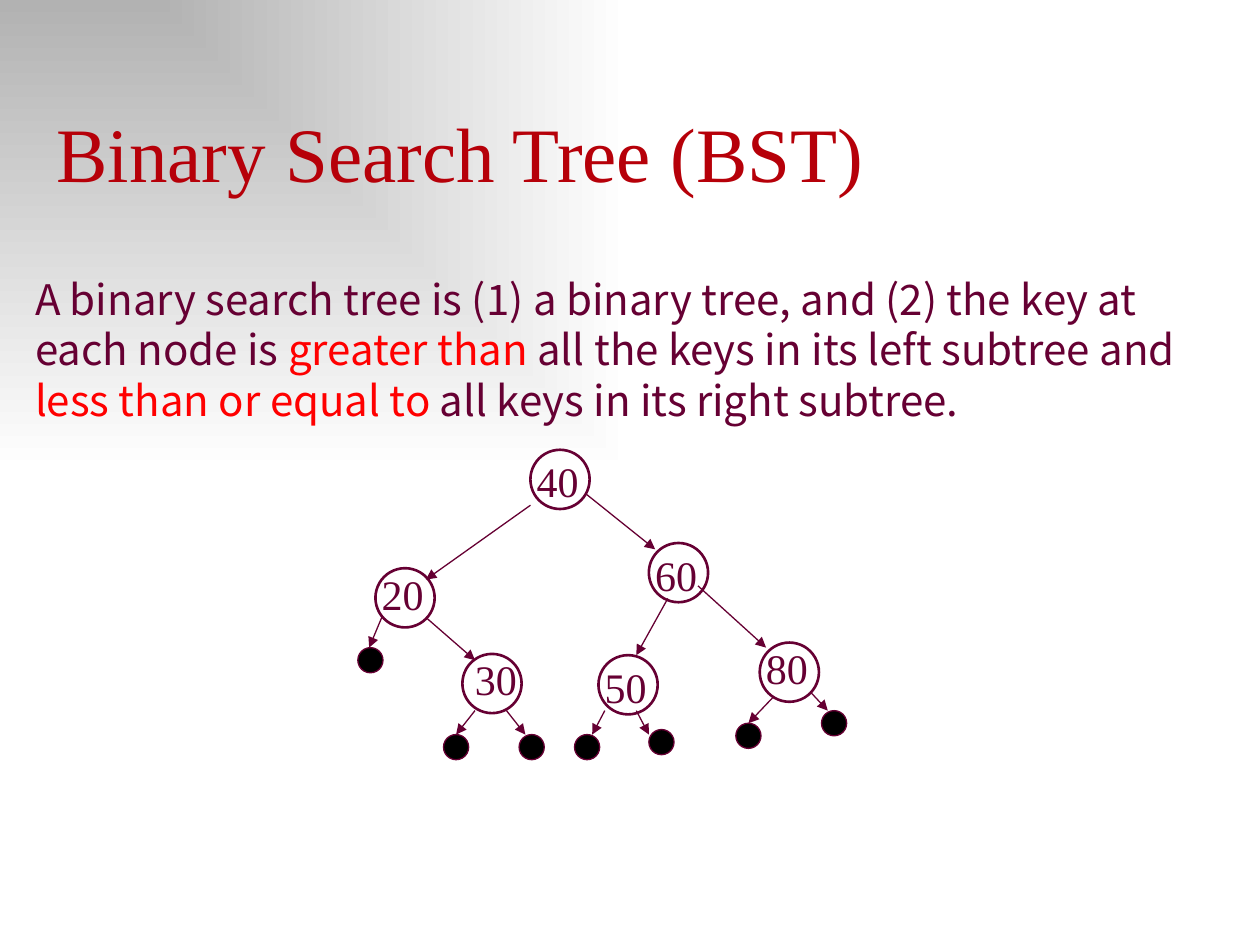
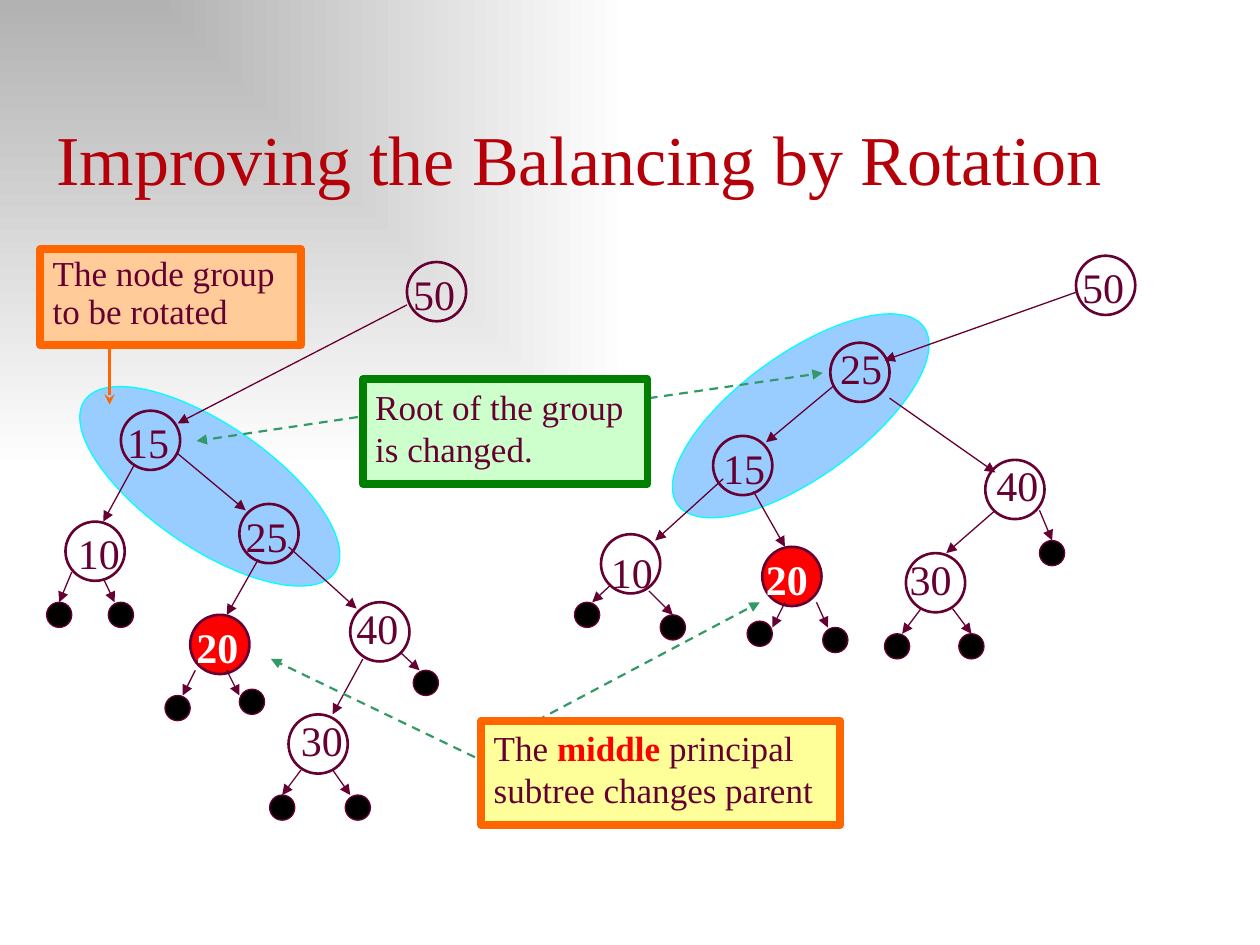
"""Build two slides about binary search trees and rotation."""
from dataclasses import dataclass, field
from typing import Any, Optional

from lxml import etree
from pptx import Presentation
from pptx import util as u
from pptx.dml.color import RGBColor
from pptx.enum import dml, shapes, text
from pptx.oxml.ns import qn
from pptx.slide import Slide

Pair = tuple[float, float]
Route = tuple[float, float, float, float]


@dataclass(frozen=True)
class Theme:
    """Colours, fonts and sizes shared by both slides."""
    ink: str = "660033"
    title: str = "B60009"
    red: str = "FF0000"
    white: str = "FFFFFF"
    black: str = "000000"
    grey: str = "B2B2B2"
    orange: str = "FF6600"
    green: str = "339966"
    sky: str = "99CCFF"
    cyan: str = "00FFFF"
    serif: str = "Times New Roman"
    sans: str = "Noto Sans CJK SC"
    body_size: int = 24
    note_size: int = 20
    line_factor: float = 1.2
    node: float = 0.47
    leaf: float = 0.2
    thin: float = 0.75
    medium: float = 1.5
    thick: float = 4.5


THEME = Theme()


@dataclass(frozen=True)
class Span:
    """A run of text with its own colour and weight."""
    words: str
    color: str = THEME.ink
    bold: bool = False


@dataclass(frozen=True)
class Node:
    """A tree node with the shift of its key's box."""
    key: str
    x: float
    y: float
    dx: float = -0.05
    dy: float = 0.0
    marked: bool = False


@dataclass(frozen=True)
class Tree:
    """Nodes, empty leaves and the arrows between them."""
    nodes: list[Node]
    leaves: list[Pair]
    links: list[Route]


@dataclass(frozen=True)
class Note:
    """A framed remark."""
    at: Route
    fill: str
    frame: str
    spans: list[Span] = field(default_factory=list)
    spacing: float = 1.0


def assign(target: Any, values: dict[str, Any]) -> None:
    """Set every attribute named in the dict."""
    for name, value in values.items():
        setattr(target, name, value)


def lengths(*values: float) -> list[int]:
    """Turn numbers into inches."""
    return [u.Inches(value) for value in values]


def write(frame: Any, spans: list[Span], size: int, font: str = THEME.serif,
          spacing: float = 1.0, anchor: Any = text.MSO_ANCHOR.TOP) -> None:
    """Fill a text frame with one left-aligned paragraph."""
    assign(frame, {"word_wrap": True, "auto_size": text.MSO_AUTO_SIZE.NONE,
                   "vertical_anchor": anchor})
    para = frame.paragraphs[0]
    assign(para, {"alignment": text.PP_ALIGN.LEFT,
                  "line_spacing": u.Pt(size * THEME.line_factor * spacing)})
    for item in spans:
        span = para.add_run()
        span.text = item.words
        assign(span.font, {"name": font, "size": u.Pt(size), "bold": item.bold})
        span.font.color.rgb = RGBColor.from_string(item.color)


def add_figure(page: Slide, kind: Any, at: Route, fill: Optional[str],
               line: str, width: float, rotation: float = 0) -> Any:
    """Draw a preset shape without a shadow."""
    figure = page.shapes.add_shape(kind, *lengths(*at))
    figure.rotation = rotation
    figure.shadow.inherit = False
    if fill:
        figure.fill.solid()
        figure.fill.fore_color.rgb = RGBColor.from_string(fill)
    else:
        figure.fill.background()
    figure.line.color.rgb = RGBColor.from_string(line)
    figure.line.width = u.Pt(width)
    return figure


def add_arrow(page: Slide, route: Route, color: str = THEME.ink,
              width: float = THEME.thin, head: str = "triangle",
              dashed: bool = False) -> None:
    """Draw a straight arrow."""
    arrow = page.shapes.add_connector(shapes.MSO_CONNECTOR.STRAIGHT, *lengths(*route))
    arrow.line.color.rgb = RGBColor.from_string(color)
    arrow.line.width = u.Pt(width)
    if dashed:
        arrow.line.dash_style = dml.MSO_LINE.DASH
    properties = arrow.element.spPr
    etree.SubElement(properties.find(qn("a:ln")), qn("a:tailEnd"), type=head)
    etree.SubElement(properties, qn("a:effectLst"))


def add_text(page: Slide, at: Route, spans: list[Span], font: str = THEME.serif) -> None:
    """Place a text box in body size."""
    box = page.shapes.add_textbox(*lengths(*at))
    write(box.text_frame, spans, THEME.body_size, font)


def add_tree(page: Slide, tree: Tree) -> None:
    """Draw a whole tree."""
    oval = shapes.MSO_SHAPE.OVAL
    for node in tree.nodes:
        add_figure(page, oval, (node.x, node.y, THEME.node, THEME.node),
                   THEME.red if node.marked else None, THEME.ink, THEME.medium)
        color = THEME.white if node.marked else THEME.ink
        add_text(page, (node.x + node.dx, node.y + node.dy, 0.69, 0.5),
                 [Span(node.key, color, node.marked)])
    for link in tree.links:
        add_arrow(page, link)
    for x, y in tree.leaves:
        add_figure(page, oval, (x, y, THEME.leaf, THEME.leaf),
                   THEME.black, THEME.ink, THEME.thin)


def add_note(page: Slide, note: Note) -> None:
    """Draw a framed remark."""
    box = add_figure(page, shapes.MSO_SHAPE.RECTANGLE, note.at, note.fill,
                     note.frame, THEME.thick)
    write(box.text_frame, note.spans, THEME.note_size, spacing=note.spacing)


def add_page(deck: Any, title: str, size: int, top: float, height: float) -> Slide:
    """Add a title-only slide and format its title."""
    page = deck.slides.add_slide(deck.slide_layouts[5])
    box = page.shapes.title
    places = lengths(0.35, top, 9.45, height)
    assign(box, dict(zip(("left", "top", "width", "height"), places)))
    write(box.text_frame, [Span(title, THEME.title)], size,
          anchor=text.MSO_ANCHOR.BOTTOM)
    return page


def paint_background(deck: Any) -> None:
    """Give the master a gradient that starts in the top left corner."""
    master = deck.slide_master
    master.background.fill.gradient()
    gradient = next(master.element.iter(qn("a:gradFill")))
    for child in list(gradient):
        gradient.remove(child)
    stops = etree.SubElement(gradient, qn("a:gsLst"))
    for position, color in (("0", THEME.grey), ("100000", THEME.white)):
        stop = etree.SubElement(stops, qn("a:gs"), pos=position)
        etree.SubElement(stop, qn("a:srgbClr"), val=color)
    shade = etree.SubElement(gradient, qn("a:path"), path="rect")
    etree.SubElement(shade, qn("a:fillToRect"), r="100000", b="100000")


SEARCH_TREE = Tree(
    [Node("40", 4.21, 3.57), Node("20", 2.98, 4.51, dy=-0.05), Node("60", 5.15, 4.31),
     Node("30", 3.67, 5.19, 0, -0.05), Node("50", 4.75, 5.2),
     Node("80", 6.03, 5.1, dy=-0.05)],
    [(2.84, 5.14), (3.52, 5.83), (4.12, 5.83), (4.56, 5.83), (5.15, 5.79),
     (5.84, 5.74), (6.52, 5.64)],
    [(4.21, 4.01, 3.38, 4.6), (4.65, 3.92, 5.2, 4.36), (3.03, 4.9, 2.93, 5.14),
     (3.38, 4.9, 3.77, 5.24), (5.3, 4.75, 5.05, 5.2), (5.54, 4.65, 6.08, 5.14),
     (3.77, 5.64, 3.62, 5.83), (4.02, 5.64, 4.17, 5.83), (4.8, 5.64, 4.7, 5.83),
     (5.05, 5.64, 5.15, 5.83), (6.13, 5.54, 5.94, 5.74), (6.43, 5.49, 6.57, 5.64)])

BEFORE_ROTATION = Tree(
    [Node("50", 3.23, 2.08), Node("15", 0.96, 3.26), Node("10", 0.52, 4.14, 0),
     Node("25", 1.9, 4), Node("20", 1.51, 4.88, marked=True),
     Node("40", 2.78, 4.78, dy=-0.05), Node("30", 2.29, 5.67, 0, -0.05)],
    [(0.37, 4.78), (0.86, 4.78), (1.31, 5.52), (1.9, 5.47), (2.14, 6.31),
     (2.74, 6.31), (3.28, 5.32)],
    [(3.23, 2.42, 1.41, 3.36), (1.06, 3.7, 0.82, 4.14), (1.41, 3.6, 1.95, 4.05),
     (2.05, 4.44, 1.8, 4.88), (2.29, 4.34, 2.83, 4.83), (2.88, 5.23, 2.64, 5.67),
     (0.57, 4.54, 0.47, 4.78), (0.82, 4.59, 0.91, 4.78), (1.55, 5.32, 1.45, 5.52),
     (1.8, 5.32, 1.9, 5.52), (2.39, 6.11, 2.24, 6.31), (2.64, 6.11, 2.78, 6.31),
     (3.18, 5.18, 3.33, 5.32)])

AFTER_ROTATION = Tree(
    [Node("50", 8.54, 2.03), Node("25", 6.59, 2.72, -0.02, -0.05),
     Node("15", 5.66, 3.46, -0.02), Node("40", 7.82, 3.65, -0.01, -0.05),
     Node("10", 4.77, 4.24, -0.02, 0.05), Node("20", 6.05, 4.34, -0.07, marked=True),
     Node("30", 7.19, 4.39, -0.07, -0.05)],
    [(4.56, 4.78), (5.24, 4.88), (5.93, 4.93), (6.53, 4.98), (7.02, 5.03),
     (7.61, 5.03), (8.25, 4.29)],
    [(8.54, 2.32, 7.02, 2.86), (6.62, 3.06, 6.08, 3.51), (7.06, 3.16, 7.9, 3.75),
     (5.74, 3.8, 5.2, 4.29), (5.98, 3.9, 6.23, 4.34), (7.9, 4.05, 7.51, 4.39),
     (8.25, 4.05, 8.35, 4.29), (4.85, 4.64, 4.7, 4.78), (5.15, 4.69, 5.34, 4.88),
     (6.23, 4.78, 6.13, 4.98), (6.48, 4.78, 6.57, 4.98), (7.31, 4.83, 7.16, 5.03),
     (7.56, 4.83, 7.71, 5.03)])

NOTES = [
    Note((0.32, 1.98, 2.07, 0.76), "FFCC99", THEME.orange,
         [Span("The node group to be rotated")], 0.9),
    Note((2.88, 3.01, 2.26, 0.83), "CCFFCC", "008000",
         [Span("Root of the group is changed.")]),
    Note((3.82, 5.72, 2.85, 0.83), "FFFF99", THEME.orange,
         [Span("The "), Span("middle", THEME.red, True),
          Span(" principal subtree changes parent")]),
]

POINTERS = [(3.77, 6.01, 2.15, 5.23), (4.26, 5.72, 6.03, 4.78),
            (2.84, 3.31, 1.56, 3.5), (5.15, 3.16, 6.53, 2.96)]


def build_definition(deck: Any) -> None:
    """Build the slide that defines the tree."""
    page = add_page(deck, "Binary Search Tree (BST)", 44, 0.79, 0.83)
    add_tree(page, SEARCH_TREE)
    add_text(page, (0.18, 2.12, 9.62, 1.31), [
        Span("A binary search tree is (1) a binary tree, and (2) the key at each node is "),
        Span("greater than ", THEME.red),
        Span("all the keys in its left subtree and "),
        Span("less than or equal to", THEME.red),
        Span(" all keys in its right subtree.")], THEME.sans)


def build_rotation(deck: Any) -> None:
    """Build the slide that compares both trees."""
    page = add_page(deck, "Improving the Balancing by Rotation", 40, 0.86, 0.77)
    for left, top, rotation in ((5.15, 2.81, 144.2), (0.46, 3.37, 34.4)):
        add_figure(page, shapes.MSO_SHAPE.OVAL, (left, top, 2.41, 0.98),
                   THEME.sky, THEME.cyan, THEME.thin, rotation)
    for tree in (BEFORE_ROTATION, AFTER_ROTATION):
        add_tree(page, tree)
    add_arrow(page, (0.87, 2.77, 0.87, 3.21), THEME.orange, THEME.medium, "stealth")
    for pointer in POINTERS:
        add_arrow(page, pointer, THEME.green, 1.25, dashed=True)
    for note in NOTES:
        add_note(page, note)


def main() -> None:
    """Build and save the deck."""
    deck = Presentation()
    assign(deck, {"slide_width": u.Inches(10), "slide_height": u.Inches(7.5)})
    paint_background(deck)
    build_definition(deck)
    build_rotation(deck)
    deck.save("out.pptx")


if __name__ == "__main__":
    main()
